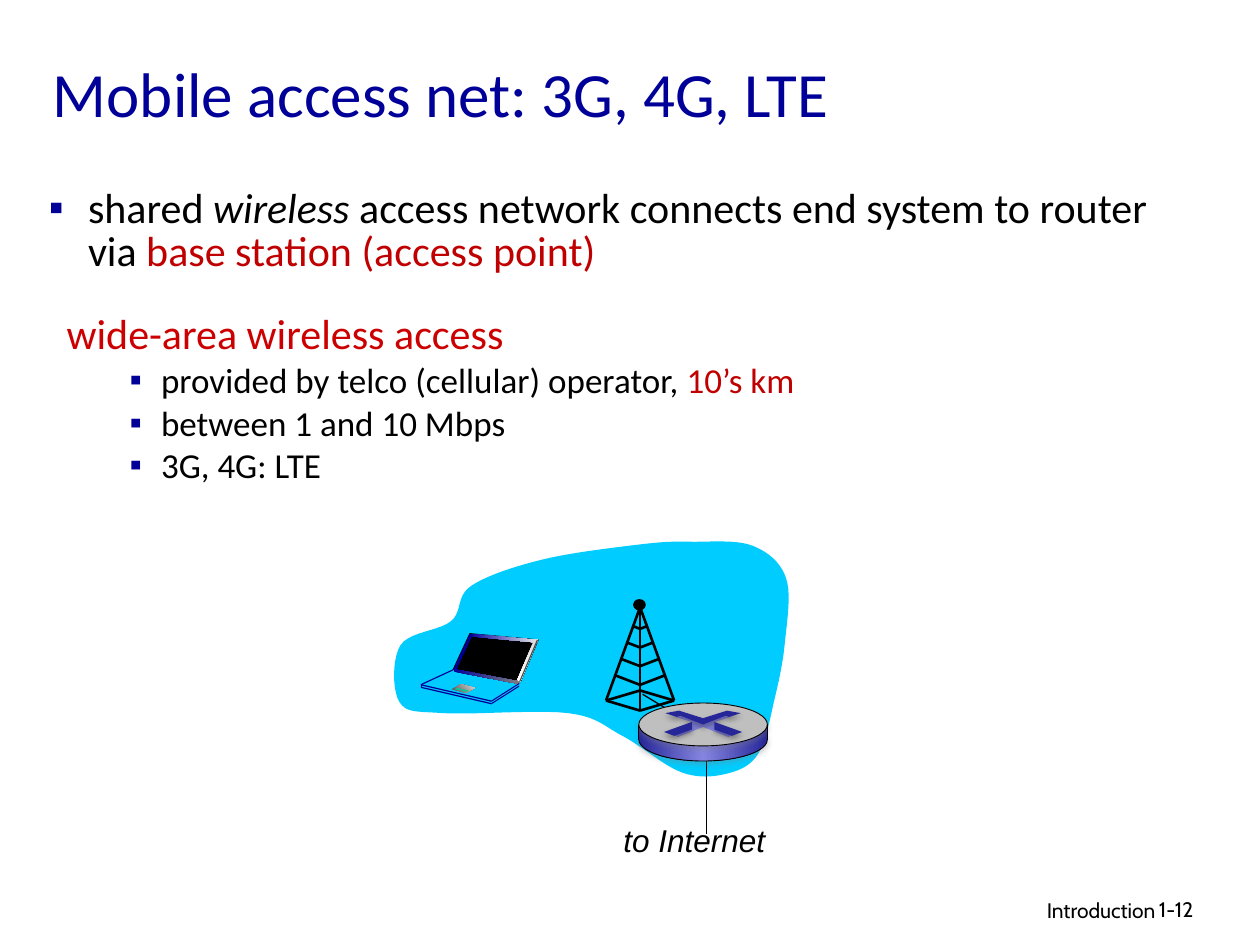
from copy import deepcopy
from lxml import etree
from pptx import Presentation, util as u
from pptx.dml.color import RGBColor
from pptx.enum import shapes, text
from pptx.oxml.ns import qn

BLACK = RGBColor(0x00, 0x00, 0x00)
NAVY = RGBColor(0x00, 0x00, 0x99)
BLUE = RGBColor(0x00, 0x00, 0xCC)
RED = RGBColor(0xC0, 0x00, 0x00)
BRIGHT_RED = RGBColor(0xCC, 0x00, 0x00)
SKY = RGBColor(0x00, 0xCC, 0xFF)
GREEN = RGBColor(0x00, 0xCC, 0x99)
CHARCOAL = RGBColor(0x4D, 0x4D, 0x4D)
GREY = RGBColor(0x80, 0x80, 0x80)
SILVER = RGBColor(0xBF, 0xBF, 0xBF)
LIGHT = RGBColor(0xDD, 0xDD, 0xDD)
PALE = RGBColor(0xEA, 0xEA, 0xEA)
WHITE = RGBColor(0xFF, 0xFF, 0xFF)
INDIGO = RGBColor(0x26, 0x26, 0x99)
LILAC = RGBColor(0x85, 0x85, 0xE0)
METAL = [INDIGO, LILAC, INDIGO]

presentation = Presentation()
presentation.slide_width, presentation.slide_height = u.Inches(10), u.Inches(7.5)
COLUMN = presentation.slide_width / 10
ROW = presentation.slide_height / 7.5
slide = presentation.slides.add_slide(presentation.slide_layouts[5])


def grid(*values):
    """Turn alternating column and row counts into lengths."""
    return [u.Emu(round(value * (ROW if index % 2 else COLUMN)))
            for index, value in enumerate(values)]


def paint(shape, colors, angle=0, line=None, shadow=None):
    """Fill with one colour or an even gradient; line is a width, shadow a colour."""
    shape.shadow.inherit = False
    if len(colors) == 1:
        shape.fill.solid()
        shape.fill.fore_color.rgb = colors[0]
    else:
        shape.fill.gradient()
        shape.fill.gradient_angle = angle
        stops = shape._element.spPr.find(qn("a:gradFill")).find(qn("a:gsLst"))
        while len(stops) < len(colors):
            stops.append(deepcopy(stops[0]))
        for index, stop in enumerate(shape.fill.gradient_stops):
            stop.position = index / (len(colors) - 1)
            stop.color.rgb = colors[index]
    if line:
        shape.line.color.rgb, shape.line.width = BLACK, u.Pt(line)
    else:
        shape.line.fill.background()
    if shadow:
        effects = shape._element.spPr.find(qn("a:effectLst"))
        outer = etree.SubElement(effects, qn("a:outerShdw"), blurRad=str(u.Pt(3.1)),
                                 dist=str(u.Pt(1.8)), dir="5400000", rotWithShape="0")
        color = etree.SubElement(outer, qn("a:srgbClr"), val=str(shadow))
        etree.SubElement(color, qn("a:alpha"), val="35000")


# Title
title = slide.shapes.title
title.left, title.top, title.width, title.height = grid(0.32, 0.19, 9.17, 1.08)
title.text_frame.text = "Mobile access net: 3G, 4G, LTE"
title.text_frame.vertical_anchor = text.MSO_ANCHOR.MIDDLE
heading = title.text_frame.paragraphs[0]
heading.alignment = text.PP_ALIGN.LEFT
heading.font.size, heading.font.name, heading.font.color.rgb = u.Pt(36), "Calibri", NAVY

# Text: box, font, size, alignment, wrap, paragraphs of (level, indent, bullet, runs)
LEFT, RIGHT = text.PP_ALIGN.LEFT, text.PP_ALIGN.RIGHT
texts = [
    ((6.1, 7.07, 3.17, 0.31), "Cabin", 12, RIGHT, True,
     [(0, 0, False, [("Introduction", BLACK, False)])]),
    ((0.29, 1.45, 9.15, 0.95), "Calibri", 24, LEFT, True,
     [(0, 0.31, True, [("shared ", BLACK, False), ("wireless", BLACK, True),
                       (" access network connects end system to router via ", BLACK, False),
                       ("base station (access point)", RED, False)])]),
    ((0.43, 2.45, 9.45, 2.41), "Calibri", 24, LEFT, True,
     [(0, 0.38, False, [("wide-area wireless access", BRIGHT_RED, False)]),
      (1, 0.25, True, [("provided by telco (cellular) operator, ", BLACK, False),
                       ("10’s km", RED, False)]),
      (1, 0.25, True, [("between 1 and 10 Mbps", BLACK, False)]),
      (1, 0.25, True, [("3G, 4G: LTE", BLACK, False)])]),
    ((4.85, 6.47, 1.33, 0.4), "Arial", 18, LEFT, False,
     [(0, 0, False, [("to Internet", BLACK, True)])]),
    ((9.1, 7.07, 0.74, 0.3), "Cabin", 12, LEFT, True,
     [(0, 0, False, [("1-12", BLACK, False)])]),
]
for box, font, size, alignment, wrap, paragraphs in texts:
    frame = slide.shapes.add_textbox(*grid(*box)).text_frame
    frame.word_wrap = wrap
    for index, (level, indent, bullet, runs) in enumerate(paragraphs):
        paragraph = frame.add_paragraph() if index else frame.paragraphs[0]
        paragraph.alignment, paragraph.level = alignment, level
        properties = paragraph._p.get_or_add_pPr()
        if indent:
            paragraph.line_spacing = 0.85
            properties.set("marL", str(u.Inches(indent + level / 2)))
            properties.set("indent", str(-u.Inches(indent)))
        if index:
            paragraph.space_before = u.Pt(4)
        if bullet:
            color = etree.SubElement(properties, qn("a:buClr"))
            etree.SubElement(color, qn("a:srgbClr"), val=str(NAVY))
            etree.SubElement(properties, qn("a:buFont"), typeface="Arial")
            etree.SubElement(properties, qn("a:buChar"), char="▪")
        for words, color, italic in runs:
            run = paragraph.add_run()
            run.text = words
            run.font.name, run.font.size = font, u.Pt(size - 4 * level)
            run.font.color.rgb, run.font.italic = color, italic

# Coverage area: a smooth closed Catmull-Rom curve through its turning points
turns = [(5.09, 4.32), (4.31, 4.44), (3.74, 4.65), (3.58, 4.93), (3.18, 5.12), (3.17, 5.57),
         (3.52, 5.66), (4.51, 5.66), (4.94, 5.84), (5.41, 6.13), (5.77, 6.14), (6.02, 5.98),
         (6.15, 5.54), (6.23, 5.1), (6.24, 4.59), (5.97, 4.33), (5.49, 4.3)]
STEPS = 10
area = []
for index in range(len(turns)):
    before, start, end, after = [turns[(index + k) % len(turns)] for k in (-1, 0, 1, 2)]
    for t in [step / STEPS for step in range(STEPS)]:
        area.append([p1 + t / 2 * (p2 - p0 + t * (2 * p0 - 5 * p1 + 4 * p2 - p3
                                                  + t * (3 * p1 - p0 - 3 * p2 + p3)))
                     for p0, p1, p2, p3 in zip(before, start, end, after)])

# Tower: two legs and a mast from the apex, a diamond foot, braces from leg to mast
MAST, APEX, FOOT, SPREAD, DEPTH = 5.08, 4.82, 5.56, 0.27, 0.08
BRACES, FIRST_BRACE, BRACE_GAP = 4, 0.15, 0.13
tower = [(MAST, APEX, MAST, FOOT + DEPTH, 1.5), (5.1, 5.51, 5.38, 5.68, 0.75)]
for side in (-SPREAD, SPREAD):
    tower.append((MAST, APEX, MAST + side, FOOT, 1.5))
    tower += [(MAST + side, FOOT, MAST, FOOT + depth, 1.5) for depth in (-DEPTH, DEPTH)]
    for brace in range(BRACES):
        drop = FIRST_BRACE + brace * BRACE_GAP
        leg = MAST + side * drop / (FOOT - APEX)
        tower.append((leg, APEX + drop, MAST, APEX + 1.14 * drop, 1.5))
antenna = [(shapes.MSO_SHAPE.OVAL, (MAST - 0.05, APEX - 0.06, 0.09, 0.08), [BLACK], 0.75, None)]

# Laptop: each strip is an edge swept by an offset
top_left, top_right = (3.73, 5.03), (4.27, 5.08)
hinge_left, hinge_right = (3.6, 5.31), (4.13, 5.41)
strips = [(top_left, top_right, (-0.01, 0.02), [NAVY, PALE], 0),
          (top_left, hinge_left, (0.02, 0.01), [NAVY], 0),
          (top_right, hinge_right, (-0.03, 0), [LIGHT, WHITE], 270),
          (hinge_left, hinge_right, (0, 0.01), [BLUE, WHITE], 0),
          (top_right, hinge_right, (-0.01, 0), [CHARCOAL], 0),
          (hinge_left, hinge_right, (0, 0.02), [NAVY, GREY], 0),
          ((3.59, 5.47), (3.7, 5.5), (0.07, -0.04), [CHARCOAL, LIGHT], 45)]
for x, y in [(3.61, 5.47), (3.66, 5.48)]:
    strips.append(((x, y), (x + 0.04, y + 0.01), (0.02, -0.01), [GREEN], 0))
base_left, base_front, base_right = (3.34, 5.45), (3.9, 5.58), (4.12, 5.44)
strips.append((hinge_left, (3.34, 5.43), (0, 0.01), [NAVY], 0))
strips.append(((3.34, 5.43), (3.34, 5.46), (0.01, 0), [NAVY], 0))
for rise in (0, 0.02):
    left, front, right = [(x, y - rise) for x, y in (base_left, base_front, base_right)]
    strips += [(left, front, (0, 0.01), [NAVY], 0), (front, right, (0, 0.01), [NAVY], 0)]
screen = [top_left, top_right, hinge_right, hinge_left]
laptop = [(screen, [BLACK], 0, 0.75, None)]
for (x1, y1), (x2, y2), (dx, dy), colors, angle in strips:
    corners = [(x1, y1), (x2, y2), (x2 + dx, y2 + dy), (x1 + dx, y1 + dy)]
    laptop.append((corners, colors, angle, None, None))

# Router: a drum with a lid; the crossed arrows mirror about its axis
AXIS, LID, RADIUS, DISC, THICK = 5.58, 5.58, 0.51, 0.34, 0.12
edge, middle = AXIS - RADIUS, LID + DISC / 2
OVAL, RECTANGLE = shapes.MSO_SHAPE.OVAL, shapes.MSO_SHAPE.RECTANGLE
router = [(OVAL, (edge, LID + THICK, 2 * RADIUS, DISC), METAL, 0.5, GREY),
          (RECTANGLE, (edge, middle, 2 * RADIUS, THICK), METAL, None, None),
          (OVAL, (edge, LID, 2 * RADIUS, DISC), [SILVER], 0.5, GREY)]
router_sides = [(x, middle, x, middle + THICK, 0.5) for x in (edge, edge + 2 * RADIUS)]
cross_half = [(0, -0.01), (0.17, -0.07), (0.22, -0.06), (0.09, -0.02), (0.11, 0.04),
              (0.24, 0.08), (0.2, 0.1), (0, 0.02)]
upper_half = [(0, -0.05), (0.19, -0.11), (0.3, -0.09), (0.21, -0.06), (0.18, -0.07), (0, 0)]
lower_arrow = [(0.09, -0.02), (0.31, 0.06), (0.23, 0.09), (0.09, 0.04)]
arrows = []
for half, color, shadow in [(cross_half, LILAC, None), (upper_half, INDIGO, BLACK),
                            (lower_arrow, INDIGO, BLACK)]:
    right = [(AXIS + x, middle + y) for x, y in half]
    left = [(2 * AXIS - x, y) for x, y in reversed(right)]
    outlines = [left, right] if half is lower_arrow else [right + left[1:-1]]
    arrows += [(outline, [color], 0, None, shadow) for outline in outlines]

# Each layer from back to front: group, presets, outlines, lines
access_group = slide.shapes.add_group_shape()
router_group = slide.shapes.add_group_shape()
uplink = [(5.61, 5.95, 5.61, 6.62, 0.75)]
layers = [(access_group, [], [(area, [SKY], 0, None, None)], tower),
          (access_group, antenna, laptop, uplink),
          (router_group, router, arrows, router_sides)]
for group, presets, outlines, lines in layers:
    for kind, box, colors, line, shadow in presets:
        paint(group.shapes.add_shape(kind, *grid(*box)), colors, 0, line, shadow)
    for points, *style in outlines:
        corners = [grid(*point) for point in points]
        builder = group.shapes.build_freeform(*corners[0])
        builder.add_line_segments(corners[1:], close=True)
        paint(builder.convert_to_shape(), *style)
    for *ends, width in lines:
        connector = group.shapes.add_connector(shapes.MSO_CONNECTOR.STRAIGHT, *grid(*ends))
        connector.line.color.rgb, connector.line.width = BLACK, u.Pt(width)
        etree.SubElement(connector._element.spPr, qn("a:effectLst"))

presentation.save("out.pptx")
